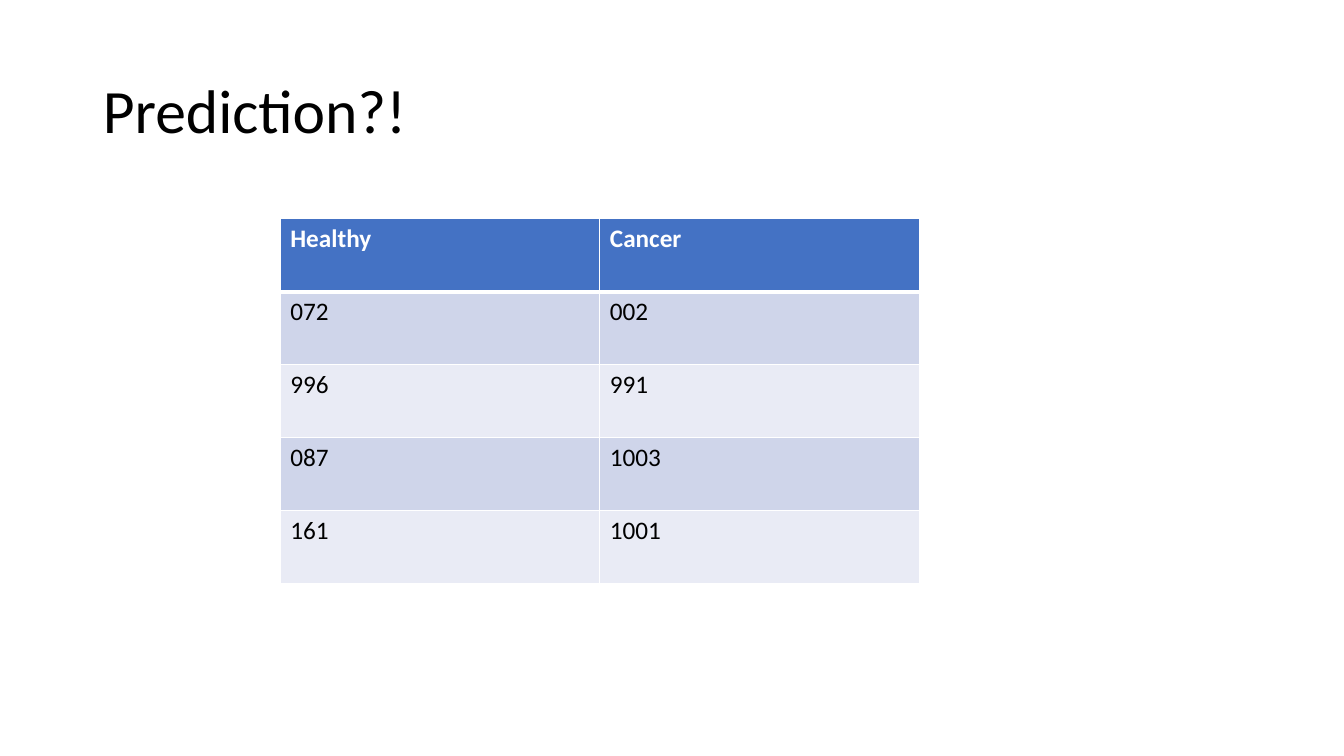
"""Build the prediction slide with its table of sample numbers."""
import lxml.etree
import pptx
import pptx.dml.color
import pptx.enum.text
import pptx.oxml
import pptx.oxml.ns
import pptx.util

Inches = pptx.util.Inches
ROWS = [("Healthy", "Cancer"), ("072", "002"), ("996", "991"),
        ("087", "1003"), ("161", "1001")]
HEADER_FILL = "4472C4"
BAND_FILLS = ["E9EBF5", "CFD5EA"]


def rgb(value):
    """Return the colour for a hex string."""
    return pptx.dml.color.RGBColor.from_string(value)


def write(tf, text, size=18, color="000000", bold=False, spacing=None):
    """Put formatted text in the first paragraph of a text frame."""
    p = tf.paragraphs[0]
    p.alignment = pptx.enum.text.PP_ALIGN.LEFT
    p.line_spacing = spacing
    r = p.add_run()
    r.text = text
    r.font.name = "Calibri"
    r.font.size = pptx.util.Pt(size)
    r.font.bold = bold
    r.font.color.rgb = rgb(color)


def add_border(cell, side, width, color="FFFFFF"):
    """Draw one side of a cell border."""
    tc_pr = cell._tc.get_or_add_tcPr()
    qn = pptx.oxml.ns.qn
    ln = lxml.etree.SubElement(tc_pr, qn(f"a:ln{side}"), w=str(pptx.util.Pt(width)))
    fill = lxml.etree.SubElement(ln, qn("a:solidFill"))
    lxml.etree.SubElement(fill, qn("a:srgbClr"), val=color)


def add_title(s, text):
    """Place and fill the title placeholder."""
    sp = s.shapes.title
    sp.left, sp.top = Inches(0.92), Inches(0.4)
    sp.width, sp.height = Inches(11.5), Inches(1.45)
    sp.text_frame.vertical_anchor = pptx.enum.text.MSO_ANCHOR.MIDDLE
    write(sp.text_frame, text, size=44, spacing=0.9)


def add_sample_table(s, rows):
    """Add a banded table with a header row."""
    frame = s.shapes.add_table(len(rows), len(rows[0]), Inches(2.78), Inches(2.17),
                               Inches(6.34), Inches(3.62))
    for i, values in enumerate(rows):
        header = i == 0
        for j, value in enumerate(values):
            cell = frame.table.cell(i, j)
            for side in "LRTB":
                under_header = (i, side) in [(0, "B"), (1, "T")]
                add_border(cell, side, 3 if under_header else 1)
            cell.fill.solid()
            cell.fill.fore_color.rgb = rgb(HEADER_FILL if header else BAND_FILLS[i % 2])
            write(cell.text_frame, value, bold=header,
                  color="FFFFFF" if header else "000000")


def main():
    """Create and save the presentation."""
    prs = pptx.Presentation()
    prs.slide_width, prs.slide_height = Inches(13.33), Inches(7.5)
    s = prs.slides.add_slide(prs.slide_layouts[5])
    add_title(s, "Prediction?!")
    add_sample_table(s, ROWS)
    prs.save("out.pptx")


if __name__ == "__main__":
    main()
